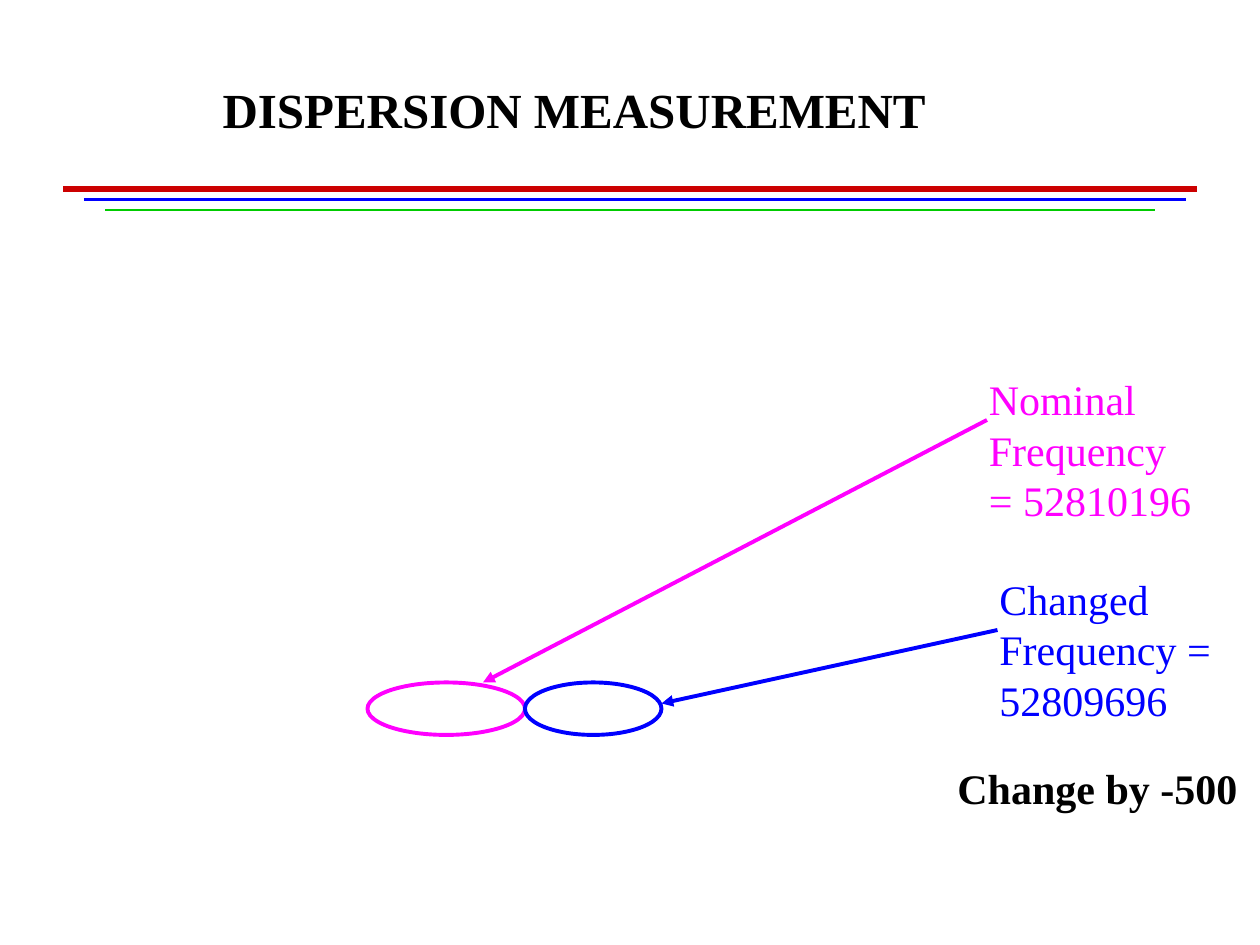
import pptx
import pptx.util
import pptx.dml.color
import pptx.enum.shapes
import pptx.enum.text
import pptx.oxml.ns
from lxml import etree

PX = 9525  # EMU in one px, 96 px to the inch
FONT = "Times New Roman"
LINE_HEIGHT = 1.2

BLACK = pptx.dml.color.RGBColor(0x00, 0x00, 0x00)
RED = pptx.dml.color.RGBColor(0xCC, 0x00, 0x00)
BLUE = pptx.dml.color.RGBColor(0x00, 0x00, 0xFF)
GREEN = pptx.dml.color.RGBColor(0x00, 0xCC, 0x00)
MAGENTA = pptx.dml.color.RGBColor(0xFF, 0x00, 0xFF)


def scale(*lengths):
    return [pptx.util.Emu(length * PX) for length in lengths]


def format_text(shape, text, size, color, bold=False):
    frame = shape.text_frame
    frame.text = text
    frame.word_wrap = True
    frame.auto_size = pptx.enum.text.MSO_AUTO_SIZE.NONE
    frame.vertical_anchor = pptx.enum.text.MSO_ANCHOR.TOP
    paragraph = frame.paragraphs[0]
    paragraph.alignment = pptx.enum.text.PP_ALIGN.LEFT
    paragraph.space_before = pptx.util.Pt(0)
    paragraph.line_spacing = pptx.util.Pt(size * LINE_HEIGHT)
    font = paragraph.runs[0].font
    font.name = FONT
    font.size = pptx.util.Pt(size)
    font.bold = bold
    font.color.rgb = color


def set_title(slide, box, text, size):
    title = slide.shapes.title
    title.left, title.top, title.width, title.height = scale(*box)
    format_text(title, text, size, BLACK, bold=True)


def add_label(slide, box, text, size, color, bold=False):
    format_text(slide.shapes.add_textbox(*scale(*box)), text, size, color, bold)


def add_ring(slide, box, color, weight):
    ring = slide.shapes.add_shape(
        pptx.enum.shapes.MSO_SHAPE.OVAL, *scale(*box))
    ring.shadow.inherit = False
    ring.fill.background()
    ring.line.color.rgb = color
    ring.line.width = pptx.util.Pt(weight)


def add_line(slide, ends, color, weight, arrow=False):
    line = slide.shapes.add_connector(
        pptx.enum.shapes.MSO_CONNECTOR.STRAIGHT, *scale(*ends))
    line.line.color.rgb = color
    line.line.width = pptx.util.Pt(weight)
    qn = pptx.oxml.ns.qn
    if arrow:
        outline = line.line._get_or_add_ln()
        etree.SubElement(outline, qn("a:tailEnd"), type="triangle")
    etree.SubElement(line._element.spPr, qn("a:effectLst"))


def add_header(slide):
    # Three rules under the title
    add_line(slide, (48, 144, 912, 144), RED, 3)
    add_line(slide, (64, 152, 904, 152), BLUE, 1.5)
    add_line(slide, (80, 160, 880, 160), GREEN, 1)

    set_title(slide, (160, 56, 600, 55), "DISPERSION MEASUREMENT", 28)


def add_callout(slide, ring, label, text, arrow, color):
    add_ring(slide, ring, color, 2.25)
    add_label(slide, label, text, 24, color)
    add_line(slide, arrow, color, 2.25, arrow=True)


def main():
    presentation = pptx.Presentation()
    presentation.slide_width, presentation.slide_height = scale(960, 720)
    slide = presentation.slides.add_slide(presentation.slide_layouts[5])

    add_header(slide)

    # Frequencies before and after the change
    add_callout(slide, (280, 520, 120, 40), (744, 280, 176, 125),
                "Nominal Frequency = 52810196", (752, 320, 368, 520), MAGENTA)
    add_callout(slide, (400, 520, 104, 40), (752, 432, 208, 125),
                "Changed Frequency = 52809696", (760, 480, 504, 536), BLUE)
    add_label(slide, (720, 576, 272, 48), "Change by -500", 24, BLACK, bold=True)

    presentation.save("out.pptx")


if __name__ == "__main__":
    main()
